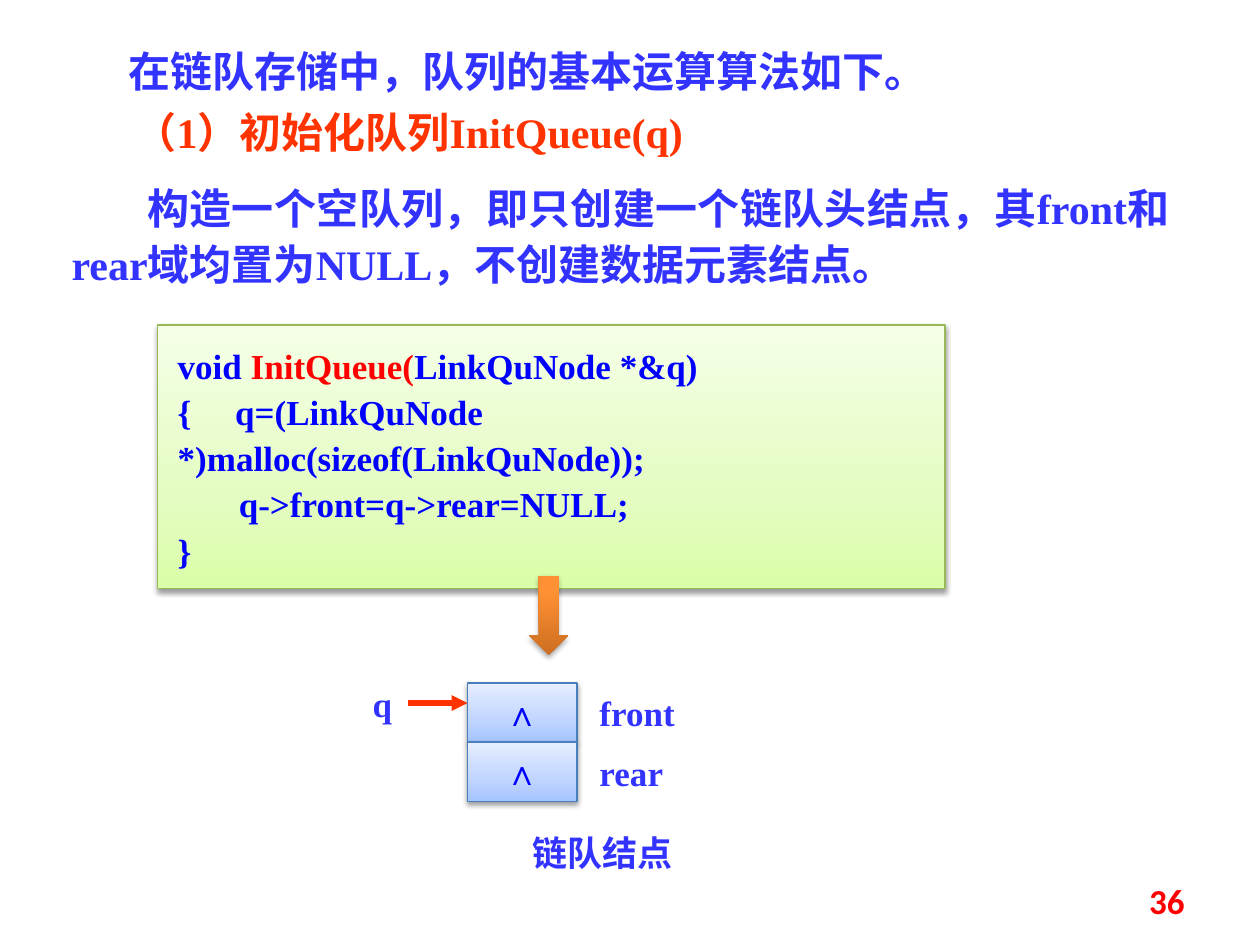
from dataclasses import dataclass

from lxml import etree
from pptx import Presentation
from pptx.dml.color import RGBColor
from pptx.enum import shapes, text
from pptx.oxml import parse_xml
from pptx.oxml.ns import nsdecls, qn
from pptx.util import Inches, Pt

COLORS = {"text": "3333FF", "heading": "FF3300", "code": "0000FF", "red": "FF0000",
          "code_line": "98B955", "cell_line": "4B7EBC"}
GRADIENTS = {
    "code": ((0, "DAFDA7"), (35, "E4FCC2"), (100, "F5FFE7")),
    "cell": ((0, "A4C4FF"), (35, "BFD4FF"), (100, "E6EEFF")),
    "arrow": ((0, "CC6E20"), (80, "FF9034"), (100, "FF9136")),
}
SERIF, CJK = "Times New Roman", "Noto Sans CJK SC"
LEFT, CENTER = text.PP_ALIGN.LEFT, text.PP_ALIGN.CENTER
RIGHT, JUSTIFY = text.PP_ALIGN.RIGHT, text.PP_ALIGN.JUSTIFY


@dataclass
class Line:
    """One paragraph: runs are (words, colour name) pairs."""
    runs: list[tuple[str, str]]
    size: int = 20
    align: text.PP_ALIGN = LEFT
    spacing: float = 1.0
    before: int = 0
    indent: float = 0
    font: str = SERIF


@dataclass
class Box:
    left: float
    top: float
    width: float
    height: float

    def lengths(self) -> list[int]:
        return [Inches(v) for v in (self.left, self.top, self.width, self.height)]


def write(shape, lines: list[Line], wrap: bool = True, anchor=text.MSO_ANCHOR.TOP) -> None:
    frame = shape.text_frame
    frame.word_wrap = wrap
    frame.vertical_anchor = anchor
    for number, line in enumerate(lines):
        paragraph = frame.add_paragraph() if number else frame.paragraphs[0]
        paragraph.alignment = line.align
        paragraph.line_spacing = line.spacing
        paragraph.space_before = Pt(line.before)
        if line.indent:
            paragraph._p.get_or_add_pPr().set("indent", str(Inches(line.indent)))
        paragraph.font.size = Pt(line.size)
        paragraph.font.bold = True
        paragraph.font.name = line.font
        for words, color in line.runs:
            run = paragraph.add_run()
            run.text = words
            run.font.color.rgb = RGBColor.from_string(COLORS[color])
            etree.SubElement(run._r.get_or_add_rPr(), qn("a:ea"), typeface=CJK)


def add_text(slide, box: Box, lines: list[Line], anchor=text.MSO_ANCHOR.TOP) -> None:
    write(slide.shapes.add_textbox(*box.lengths()), lines, anchor=anchor)


def add_panel(slide, kind, box: Box, gradient: str, line_color: str = "",
              shadow_alpha: int = 38):
    """A preset shape with an upward gradient and a soft shadow below it."""
    shape = slide.shapes.add_shape(kind, *box.lengths())
    if line_color:
        shape.line.color.rgb = RGBColor.from_string(COLORS[line_color])
        shape.line.width = Pt(0.75)
    else:
        shape.line.fill.background()
    shape.fill.solid()
    properties = shape._element.spPr
    stops = "".join(f'<a:gs pos="{position * 1000}"><a:srgbClr val="{color}"/></a:gs>'
                    for position, color in GRADIENTS[gradient])
    properties.replace(properties.find(qn("a:solidFill")), parse_xml(
        f'<a:gradFill {nsdecls("a")} rotWithShape="1"><a:gsLst>{stops}</a:gsLst>'
        '<a:lin ang="16200000" scaled="0"/></a:gradFill>'))
    properties.append(parse_xml(
        f'<a:effectLst {nsdecls("a")}><a:outerShdw blurRad="{Pt(3.1)}" dist="{Pt(1.6)}" '
        'dir="5400000" rotWithShape="0"><a:srgbClr val="000000">'
        f'<a:alpha val="{shadow_alpha * 1000}"/></a:srgbClr></a:outerShdw></a:effectLst>'))
    return shape


def add_pointer(slide, start: float, end: float, y: float) -> None:
    pointer = slide.shapes.add_connector(
        shapes.MSO_CONNECTOR.STRAIGHT, Inches(start), Inches(y), Inches(end), Inches(y))
    pointer.line.color.rgb = RGBColor.from_string(COLORS["heading"])
    pointer.line.width = Pt(3)
    etree.SubElement(pointer.line._get_or_add_ln(), qn("a:tailEnd"), type="triangle")
    etree.SubElement(pointer._element.spPr, qn("a:effectLst"))


def main() -> None:
    presentation = Presentation()
    presentation.slide_width, presentation.slide_height = Inches(10), Inches(7.5)
    slide = presentation.slides.add_slide(presentation.slide_layouts[6])

    # Introduction
    add_text(slide, Box(0.47, 0.39, 8.91, 2.04), [
        Line([("在链队存储中，队列的基本运算算法如下。", "text")],
             24, JUSTIFY, 0.8, indent=0.45),
        Line([("（1）初始化队列InitQueue(q)", "heading")],
             24, JUSTIFY, 0.8, before=12, indent=0.5),
        Line([("构造一个空队列，即只创建一个链队头结点，其front和rear域均置为NULL，"
               "不创建数据元素结点。", "text")], 24, JUSTIFY, 1.1, before=12, indent=0.6),
    ])

    # Code
    code = add_panel(slide, shapes.MSO_SHAPE.RECTANGLE, Box(1.25, 2.58, 6.25, 2.09),
                     "code", "code_line")
    frame = code.text_frame
    frame.margin_left = frame.margin_right = Inches(0.16)
    frame.margin_top = frame.margin_bottom = Inches(0.12)
    code_lines = [
        [("void ", "code"), ("InitQueue(", "red"), ("LinkQuNode *&q)", "code")],
        [("{     q=(LinkQuNode *)malloc(sizeof(LinkQuNode));", "code")],
        [("       q->front=q->rear=NULL;", "code")],
        [("}", "code")],
    ]
    write(code, [Line(runs, spacing=1.1) for runs in code_lines])

    # Queue node: two empty pointers, its labels and the pointer q
    cell_height = 0.47
    for row in range(2):
        cell = add_panel(slide, shapes.MSO_SHAPE.RECTANGLE,
                         Box(3.71, 5.42 + row * cell_height, 0.87, cell_height),
                         "cell", "cell_line")
        write(cell, [Line([("∧", "code")], align=CENTER)], wrap=False,
              anchor=text.MSO_ANCHOR.MIDDLE)
    add_pointer(slide, 3.24, 3.71, 5.58)
    add_text(slide, Box(2.8, 5.37, 0.47, 0.43), [Line([("q", "text")], align=CENTER)])
    add_text(slide, Box(4.66, 5.44, 1.5, 0.93),
             [Line([("front", "text")]), Line([("rear", "text")], before=10)])
    add_text(slide, Box(3.64, 6.55, 2.28, 0.43),
             [Line([("链队结点", "text")], align=CENTER, font=CJK)])

    # Arrow from the code to the node
    add_panel(slide, shapes.MSO_SHAPE.DOWN_ARROW, Box(4.2, 4.57, 0.31, 0.63), "arrow",
              shadow_alpha=35)

    # Page number
    add_text(slide, Box(7.17, 6.95, 2.33, 0.4),
             [Line([("36", "red")], align=RIGHT, font="Calibri")], text.MSO_ANCHOR.MIDDLE)

    presentation.save("out.pptx")


if __name__ == "__main__":
    main()
